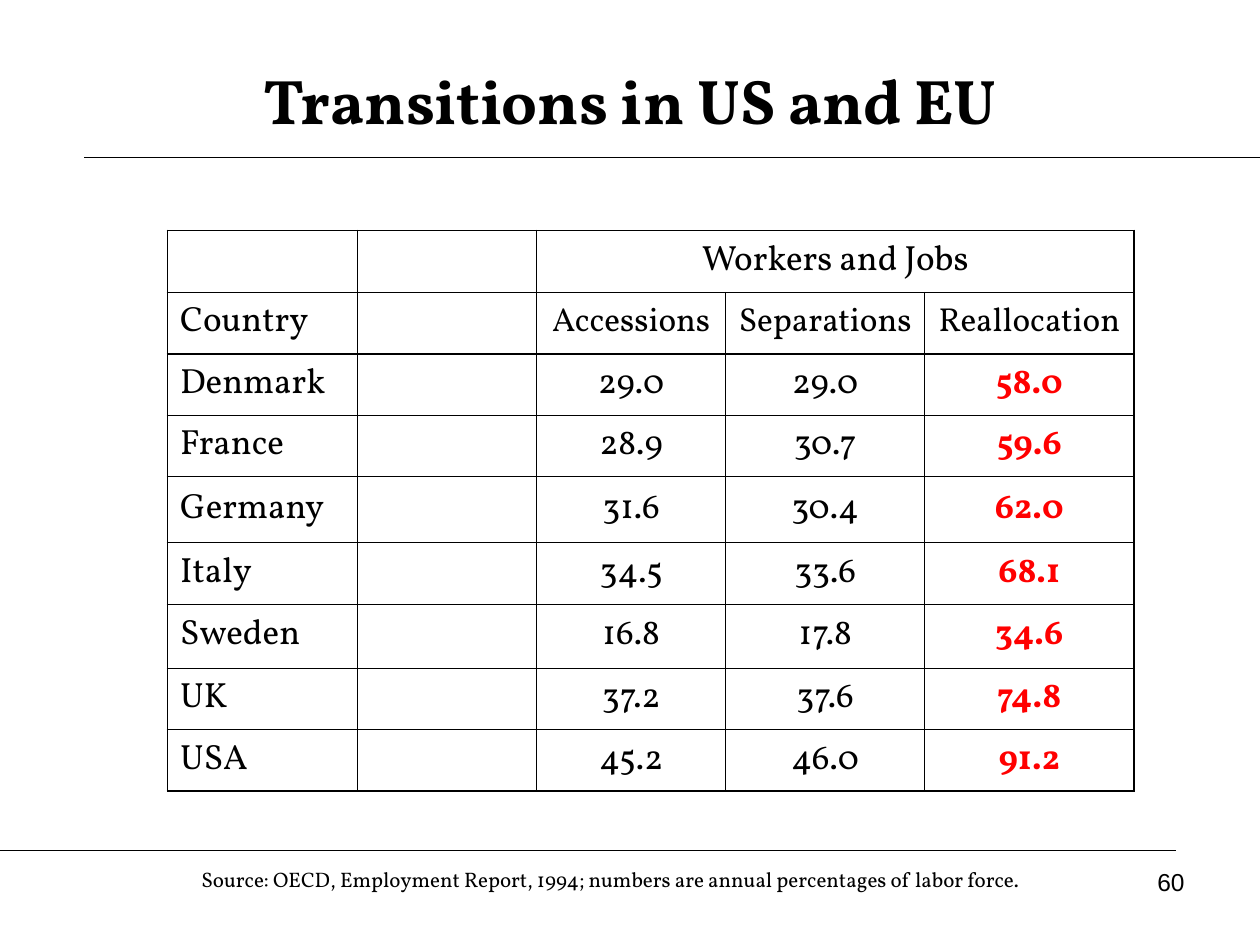
import pptx
import pptx.dml.color
import pptx.enum.shapes
import pptx.enum.text
import pptx.oxml
import pptx.oxml.ns
import pptx.util

# Content
TITLE = "Transitions in US and EU"
SOURCE = "Source: OECD, Employment Report, 1994; numbers are annual percentages of labor force."
PAGE_NUMBER = "60"
ROWS = [
    ("", "", "Workers and Jobs", "", ""),
    ("Country", "", "Accessions", "Separations", "Reallocation"),
    ("Denmark", "", "29.0", "29.0", "58.0"),
    ("France", "", "28.9", "30.7", "59.6"),
    ("Germany", "", "31.6", "30.4", "62.0"),
    ("Italy", "", "34.5", "33.6", "68.1"),
    ("Sweden", "", "16.8", "17.8", "34.6"),
    ("UK", "", "37.2", "37.6", "74.8"),
    ("USA", "", "45.2", "46.0", "91.2"),
]
HEADER_ROWS = 2
COLUMN_WIDTHS = [1.51, 1.42, 1.5, 1.58, 1.66]
ROW_HEIGHTS = [0.48, 0.48, 0.48, 0.48, 0.52, 0.48, 0.51, 0.48, 0.48]
# Rules as (start x, end x, y)
RULES = [(0.67, 10, 1.25), (0, 9.33, 6.75), (1.25, 10, 1.25), (0, 7.08, 6.75)]

SERIF, SANS = "Vollkorn", "Arial"
BLACK, RED = "000000", "FF0000"
THIN, THICK = 0.45, 1.08
ALIGN = pptx.enum.text.PP_ALIGN
MIDDLE = pptx.enum.text.MSO_ANCHOR.MIDDLE
inch = pptx.util.Inches


def rgb(color):
    return pptx.dml.color.RGBColor.from_string(color)


def write(frame, text, size, align, font=SERIF, color=BLACK, bold=False):
    frame.text = text
    paragraph = frame.paragraphs[0]
    paragraph.alignment = align
    for run in paragraph.runs:
        run.font.name = font
        run.font.size = pptx.util.Pt(size)
        run.font.bold = bold
        run.font.color.rgb = rgb(color)


def add_text(slide, left, top, width, height, *content, **style):
    frame = slide.shapes.add_textbox(*map(inch, (left, top, width, height))).text_frame
    frame.word_wrap = True
    write(frame, *content, **style)
    return frame


def add_rule(slide, start, end, y):
    rule = slide.shapes.add_connector(
        pptx.enum.shapes.MSO_CONNECTOR.STRAIGHT, inch(start), inch(y), inch(end), inch(y))
    rule.line.color.rgb = rgb(BLACK)
    rule.line.width = pptx.util.Pt(0.75)
    rule._element.spPr.append(pptx.oxml.parse_xml(
        f'<a:effectLst {pptx.oxml.ns.nsdecls("a")}/>'))


def set_borders(cell, widths):
    properties = cell._tc.get_or_add_tcPr()
    for position, (side, width) in enumerate(zip("LRTB", widths)):
        properties.insert(position, pptx.oxml.parse_xml(
            f'<a:ln{side} {pptx.oxml.ns.nsdecls("a")} w="{pptx.util.Pt(width)}">'
            f'<a:solidFill><a:srgbClr val="{BLACK}"/></a:solidFill></a:ln{side}>'))


def add_transitions(slide):
    table = slide.shapes.add_table(
        len(ROWS), len(COLUMN_WIDTHS), inch(1.33), inch(1.83),
        inch(sum(COLUMN_WIDTHS)), inch(sum(ROW_HEIGHTS))).table
    table.first_row = table.horz_banding = False
    for column, width in zip(table.columns, COLUMN_WIDTHS):
        column.width = inch(width)
    for row, height in zip(table.rows, ROW_HEIGHTS):
        row.height = inch(height)
    last_row, last_column = len(ROWS) - 1, len(COLUMN_WIDTHS) - 1
    table.cell(0, 2).merge(table.cell(0, last_column))

    for r, values in enumerate(ROWS):
        for c, value in enumerate(values):
            cell = table.cell(r, c)
            if cell.is_spanned:
                continue
            cell.fill.background()
            cell.vertical_anchor = MIDDLE
            # Column heads are a little smaller; reallocation figures stand out
            size = 19 if r == 1 and c > 0 else 20
            highlight = r >= HEADER_ROWS and c == last_column
            write(cell.text_frame, value, size, ALIGN.CENTER if c else ALIGN.LEFT,
                  color=RED if highlight else BLACK, bold=highlight)
            # Heavy frame outside and below the header
            right_column = c + cell.span_width - 1 if cell.is_merge_origin else c
            heavy = (c == 0, right_column == last_column,
                     r in (0, HEADER_ROWS), r in (HEADER_ROWS - 1, last_row))
            set_borders(cell, [THICK if edge else THIN for edge in heavy])


def main():
    deck = pptx.Presentation()
    deck.slide_width, deck.slide_height = inch(10), inch(7.5)
    slide = deck.slides.add_slide(deck.slide_layouts[6])

    for rule in RULES:
        add_rule(slide, *rule)
    add_transitions(slide)

    # Footer and title
    add_text(slide, 1.5, 6.83, 7.58, 0.3, SOURCE, 12, ALIGN.LEFT)
    title = add_text(slide, 0.5, 0.33, 9, 0.92, TITLE, 36, ALIGN.CENTER, bold=True)
    title.vertical_anchor = MIDDLE
    add_text(slide, 7.17, 6.83, 2.33, 0.52, PAGE_NUMBER, 14, ALIGN.RIGHT, font=SANS)

    deck.save("out.pptx")


if __name__ == "__main__":
    main()
